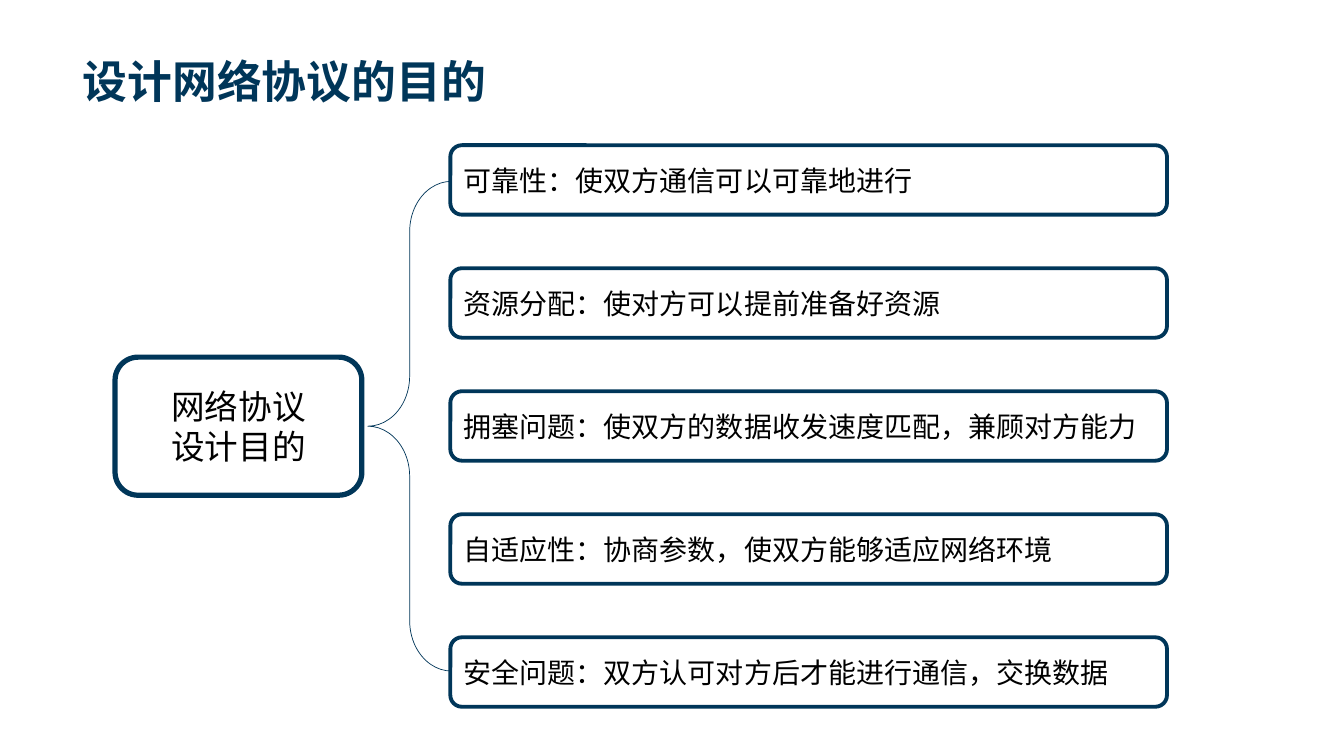
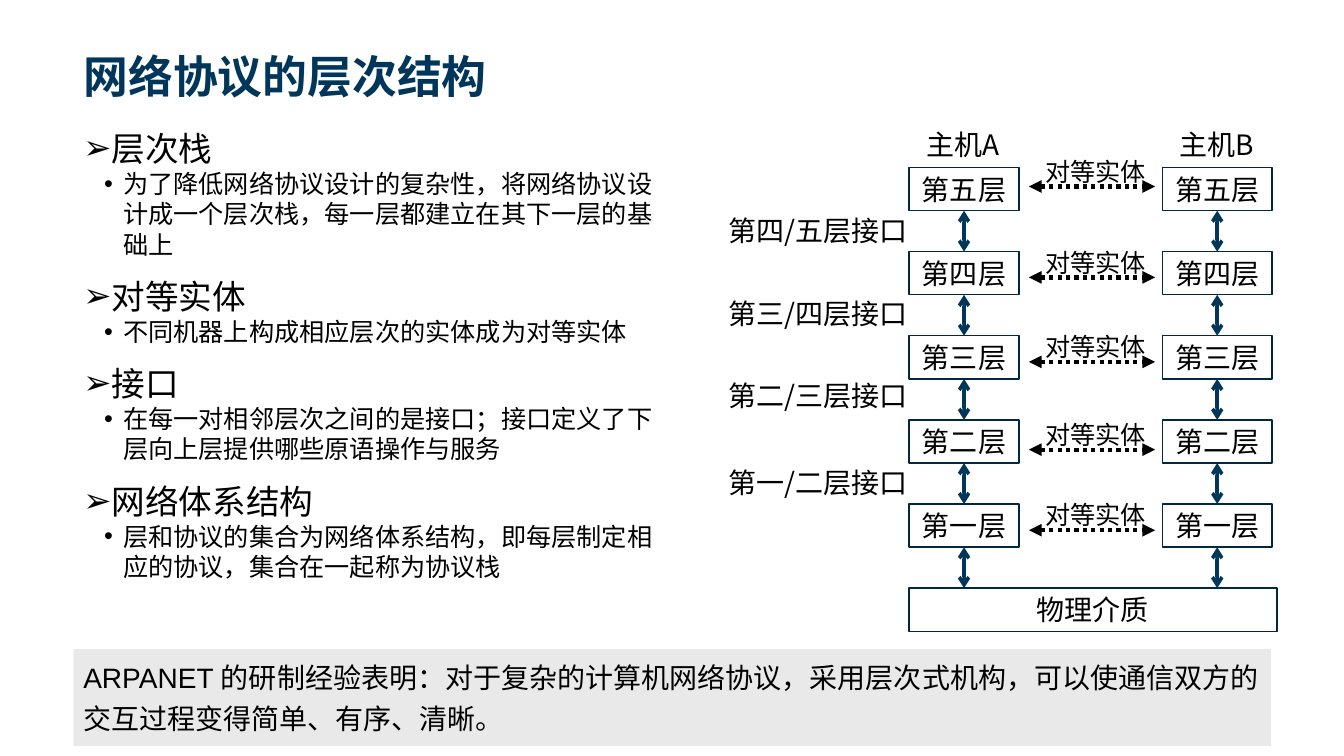
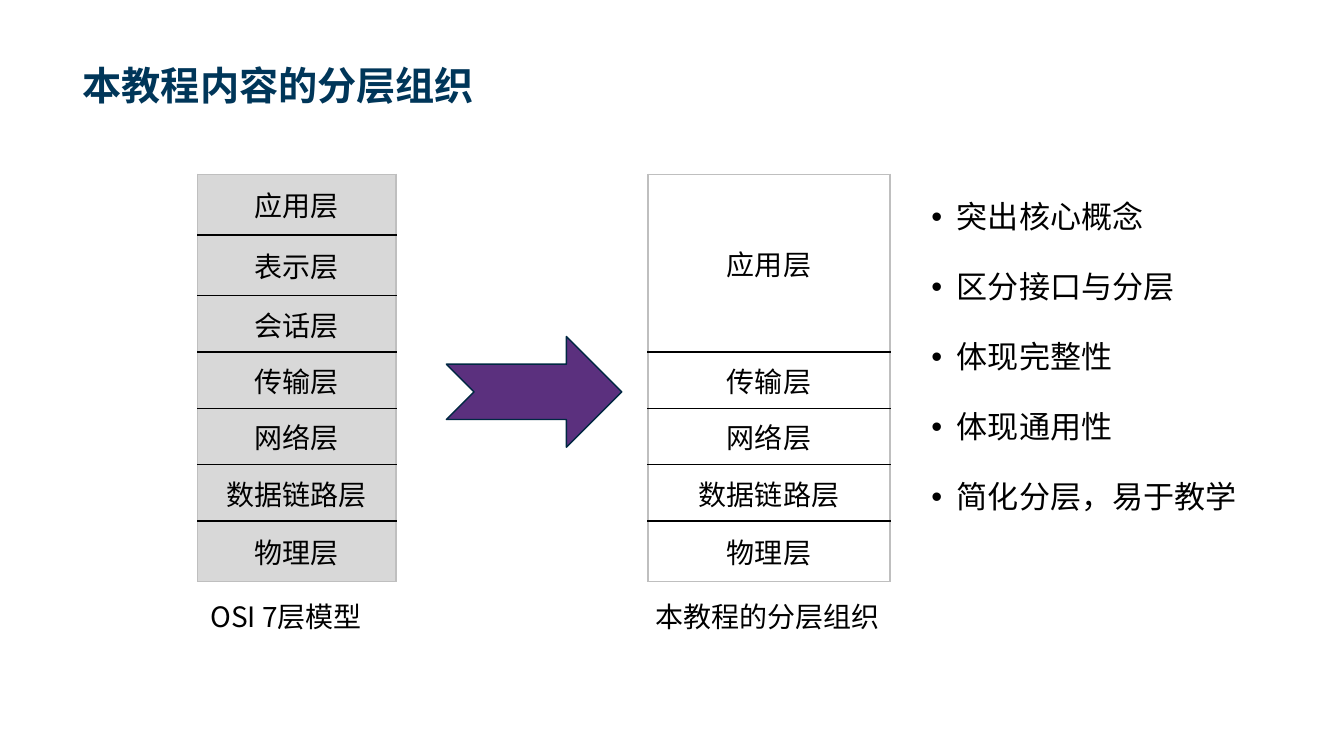
"""Build three slides on the purpose and layering of network protocols."""
from dataclasses import dataclass

from lxml.etree import SubElement
from pptx import Presentation
from pptx.dml.color import RGBColor
from pptx.enum.dml import MSO_LINE_DASH_STYLE as Dash
from pptx.enum.shapes import MSO_CONNECTOR as Conn, MSO_SHAPE as Shape
from pptx.enum.text import MSO_ANCHOR as Anchor, MSO_AUTO_SIZE as Fit, PP_ALIGN as Align
from pptx.oxml.ns import qn
from pptx.util import Cm, Pt


@dataclass(frozen=True)
class Theme:
    navy: str = "003659"
    dark: str = "002842"
    purple: str = "5B307E"
    gray: str = "D8D8D8"
    edge: str = "BFBFBF"
    white: str = "FFFFFF"
    black: str = "000000"
    cjk: str = "Noto Sans CJK SC"
    latin: str = "Arial"
    title: int = 32
    small_title: int = 28
    large: int = 24
    points: float = 22.2
    text: int = 20
    small: int = 18


T = Theme()

GOAL_TITLE = "设计网络协议的目的"
GOAL_ROOT = ["网络协议", "设计目的"]
GOALS = [
    "可靠性：使双方通信可以可靠地进行",
    "资源分配：使对方可以提前准备好资源",
    "拥塞问题：使双方的数据收发速度匹配，兼顾对方能力",
    "自适应性：协商参数，使双方能够适应网络环境",
    "安全问题：双方认可对方后才能进行通信，交换数据",
]

STACK_TITLE = "网络协议的层次结构"
CONCEPTS = [
    ("层次栈", "为了降低网络协议设计的复杂性，将网络协议设计成一个层次栈，每一层都建立在其下一层的基础上"),
    ("对等实体", "不同机器上构成相应层次的实体成为对等实体"),
    ("接口", "在每一对相邻层次之间的是接口；接口定义了下层向上层提供哪些原语操作与服务"),
    ("网络体系结构", "层和协议的集合为网络体系结构，即每层制定相应的协议，集合在一起称为协议栈"),
]
HOSTS = [("主机A", 22.91), ("主机B", 29.29)]
LAYERS = ["第五层", "第四层", "第三层", "第二层", "第一层"]
MEDIUM = "物理介质"
INTERFACES = [("第四/五层接口", 5.26), ("第三/四层接口", 7.34),
              ("第二/三层接口", 9.42), ("第一/二层接口", 11.61)]
PEER = "对等实体"
PEER_YS = [4.7, 6.99, 9.12, 11.33, 13.36]
LESSON = ("ARPANET 的研制经验表明：对于复杂的计算机网络协议，采用层次式机构，"
          "可以使通信双方的交互过程变得简单、有序、清晰。")

COURSE_TITLE = "本教程内容的分层组织"
LOWER = [("传输层", 1.42), ("网络层", 1.42), ("数据链路层", 1.42), ("物理层", 1.53)]
OSI = [("应用层", 1.53), ("表示层", 1.53), ("会话层", 1.42)] + LOWER
COURSE = [("应用层", 4.48)] + LOWER
OSI_CAPTION = "OSI 7层模型"
COURSE_CAPTION = "本教程的分层组织"
POINTS = ["突出核心概念", "区分接口与分层", "体现完整性", "体现通用性", "简化分层，易于教学"]


def rgb(color):
    return RGBColor.from_string(color)


def cms(*values):
    return [Cm(v) for v in values]


def put(tf, text, size=T.text, font=T.cjk, color=T.black, bold=False, align=Align.LEFT,
        spacing=1.0, before=0, bullet=None, level=0, margin=0.64, hang=0.64):
    p = tf.paragraphs[0]
    if p.runs:
        p = tf.add_paragraph()
    else:
        before = 0
    p.alignment, p.level = align, level
    p.line_spacing, p.space_before, p.space_after = spacing, Pt(before), Pt(0)
    if bullet:
        pPr = p._p.get_or_add_pPr()
        pPr.set("marL", str(Cm(margin)))
        pPr.set("indent", str(-Cm(hang)))
        SubElement(pPr, qn("a:buFont")).set("typeface", T.latin)
        SubElement(pPr, qn("a:buChar")).set("char", bullet)
    r = p.add_run()
    r.text = text
    r.font.size, r.font.bold, r.font.name = Pt(size), bold, font
    r.font.color.rgb = rgb(color)
    SubElement(r.font._element, qn("a:ea")).set("typeface", T.cjk)


def move(sp, box):
    sp.left, sp.top, sp.width, sp.height = cms(*box)
    sp.text_frame.auto_size = Fit.NONE
    return sp.text_frame


def new_slide(prs, layout, title, box, size=T.title, font=T.latin):
    s = prs.slides.add_slide(prs.slide_layouts[layout])
    tf = move(s.shapes.title, box)
    tf.vertical_anchor = Anchor.BOTTOM
    put(tf, title, size=size, font=font, color=T.navy, bold=True)
    return s


def label(s, box, text, inset=None, **fmt):
    tf = s.shapes.add_textbox(*cms(*box)).text_frame
    tf.word_wrap = True
    if inset is not None:
        tf.margin_left = tf.margin_right = tf.margin_top = tf.margin_bottom = Cm(inset)
    put(tf, text, **fmt)


def block(s, kind, box, lines=(), fill=T.white, line=T.dark, width=1, **fmt):
    sp = s.shapes.add_shape(kind, *cms(*box))
    sp.shadow.inherit = False
    if fill:
        sp.fill.solid()
        sp.fill.fore_color.rgb = rgb(fill)
    else:
        sp.fill.background()
    if line:
        sp.line.color.rgb = rgb(line)
        sp.line.width = Pt(width)
    else:
        sp.line.fill.background()
    for text in lines:
        put(sp.text_frame, text, **fmt)
    return sp


def double_arrow(s, start, end, color, width, head, dash=None):
    c = s.shapes.add_connector(Conn.STRAIGHT, *cms(*start, *end))
    c.line.color.rgb = rgb(color)
    c.line.width = Pt(width)
    if dash:
        c.line.dash_style = dash
    spPr = c.element.spPr
    for tag in ("a:headEnd", "a:tailEnd"):
        SubElement(spPr.find(qn("a:ln")), qn(tag)).set("type", head)
    SubElement(spPr, qn("a:effectLst"))
    return c


def border(tcPr, side, color):
    ln = SubElement(tcPr, qn(f"a:ln{side}"), w=str(Pt(1)))
    SubElement(SubElement(ln, qn("a:solidFill")), qn("a:srgbClr")).set("val", color)


def layer_table(s, x, y, w, rows, fill):
    heights = [h for _, h in rows]
    table = s.shapes.add_table(len(rows), 1, *cms(x, y, w, sum(heights))).table
    table.first_row = table.horz_banding = False
    for i, (name, height) in enumerate(rows):
        table.rows[i].height = Cm(height)
        cell = table.cell(i, 0)
        tcPr = cell._tc.get_or_add_tcPr()
        top = T.black if i else T.edge
        bottom = T.black if i < len(rows) - 1 else T.edge
        for side, color in zip("LRTB", (T.edge, T.edge, top, bottom)):
            border(tcPr, side, color)
        cell.fill.solid()
        cell.fill.fore_color.rgb = rgb(fill)
        cell.vertical_anchor = Anchor.MIDDLE
        put(cell.text_frame, name, align=Align.CENTER)


def goals_slide(prs):
    s = new_slide(prs, 5, GOAL_TITLE, (1.83, 0, 30.18, 2.84), font=T.cjk)
    block(s, Shape.ROUNDED_RECTANGLE, (2.9, 9, 6.22, 3.48), GOAL_ROOT,
          line=T.navy, width=3.75, size=T.large, align=Align.CENTER)
    for i, goal in enumerate(GOALS):
        block(s, Shape.ROUNDED_RECTANGLE, (11.35, 3.66 + 3.1 * i, 18.06, 1.75), [goal],
              line=T.navy, width=2.75)
    brace = block(s, Shape.LEFT_BRACE, (9.27, 4.57, 2.11, 12.34),
                  fill=None, line=T.navy, width=0.5)
    brace.adjustments[0] = 0.6


def stack_slide(prs):
    s = new_slide(prs, 1, STACK_TITLE, (1.85, 0, 30.15, 2.72))
    tf = move(s.placeholders[1], (1.85, 3.1, 15.37, 13.26))
    for concept, detail in CONCEPTS:
        put(tf, concept, size=T.large, font=T.latin, before=12, bullet="➢")
        put(tf, detail, size=T.small, font=T.latin, bullet="•", level=1, margin=1, hang=0.48)

    top, pitch, w, h = 4.22, 2.12, 2.77, 1.09
    medium_y = top + pitch * len(LAYERS)
    block(s, Shape.RECTANGLE, (HOSTS[0][1], medium_y, 9.27, h), [MEDIUM], align=Align.CENTER)
    for host, x in HOSTS:
        label(s, (x + 0.18, 3.1, 2.59, 1.12), host)
        boxes = [block(s, Shape.RECTANGLE, (x, top + pitch * i, w, h), [name],
                       align=Align.CENTER) for i, name in enumerate(LAYERS)]
        for i, upper in enumerate(boxes):
            y = top + pitch * i
            c = double_arrow(s, (x + w / 2, y + h), (x + w / 2, y + pitch),
                             T.navy, 2.5, "arrow")
            c.begin_connect(upper, 2)
            if i + 1 < len(boxes):
                c.end_connect(boxes[i + 1], 0)
    for name, y in INTERFACES:
        label(s, (18.11, y, 5.11, 1.12), name)
    for y in PEER_YS:
        double_arrow(s, (25.93, y), (29.11, y), T.black, 3, "triangle", Dash.ROUND_DOT)
        label(s, (26.09, y - 1.25, 3.05, 1.22), PEER, inset=0.1, size=T.small,
              align=Align.CENTER, spacing=1.5)

    band = block(s, Shape.RECTANGLE, (1.85, 16.36, 30.18, 2.44), [LESSON],
                 fill=T.gray, line=None, font=T.latin, spacing=1.2)
    band.text_frame.vertical_anchor = Anchor.TOP
    tint = band.element.spPr.find(qn("a:solidFill")).find(qn("a:srgbClr"))
    SubElement(tint, qn("a:alpha")).set("val", "54000")


def course_slide(prs):
    s = new_slide(prs, 1, COURSE_TITLE, (1.83, 0.36, 30.18, 2.49), size=T.small_title)
    tf = move(s.placeholders[1], (23.22, 4.39, 8.43, 8.89))
    for point in POINTS:
        put(tf, point, size=T.points, font=T.latin, spacing=1.5, before=10, bullet="•")
    layer_table(s, 4.98, 4.39, 5, OSI, T.gray)
    layer_table(s, 16.33, 4.39, 6.1, COURSE, T.white)
    label(s, (5.05, 14.99, 5.99, 1.27), OSI_CAPTION)
    label(s, (16.26, 14.99, 6.55, 1.27), COURSE_CAPTION)
    block(s, Shape.NOTCHED_RIGHT_ARROW, (11.25, 8.48, 4.42, 2.79), fill=T.purple)


def main():
    prs = Presentation()
    prs.slide_width, prs.slide_height = cms(33.87, 19.05)
    goals_slide(prs)
    stack_slide(prs)
    course_slide(prs)
    prs.save("out.pptx")


if __name__ == "__main__":
    main()
